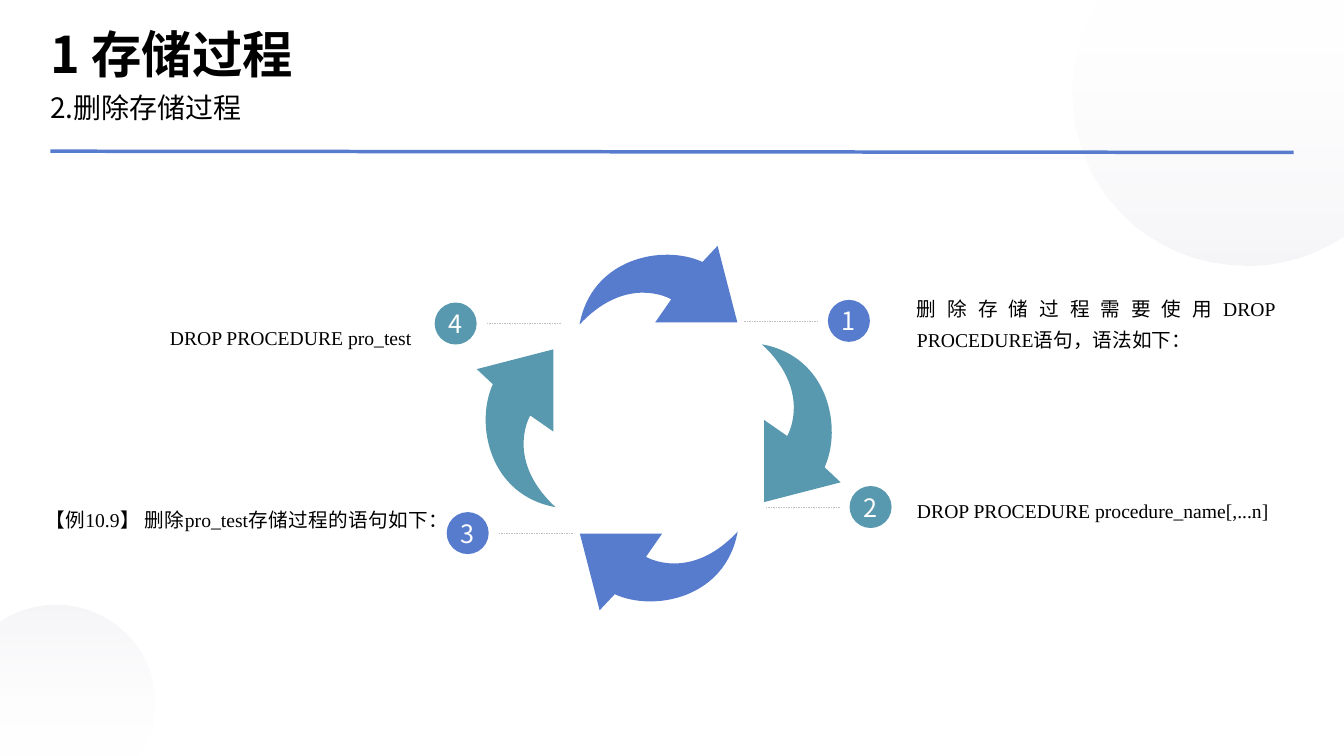
from lxml.etree import SubElement
from pptx import Presentation
from pptx.dml.color import RGBColor
from pptx.enum.dml import MSO_LINE
from pptx.enum.shapes import MSO_CONNECTOR, MSO_SHAPE
from pptx.enum.text import MSO_ANCHOR as ANCHOR, PP_ALIGN as ALIGN
from pptx.oxml.ns import qn
from pptx.util import Pt

SANS, SERIF = "Noto Sans CJK SC", "Times New Roman"
BLUE, TEAL, GREY, BLACK, WHITE = "577CCE", "5999AF", "BFBFBF", "000000", "FFFFFF"

TITLE = "1 存储过程"
SUBTITLE = "2.删除存储过程"

# text, text box (left, top, width), bottom inset, leader (start x, y),
# side (1 right, -1 left), arrow (left, top)
STEPS = [
    ("删除存储过程需要使用DROP PROCEDURE语句，语法如下：",
     (655, 174.2, 255.6), 0, (531.5, 229.2), 1, (414, 175.6)),
    ("DROP PROCEDURE procedure_name[,...n]",
     (655, 307.4, 255.6), 0, (547, 362.2), 1, (516, 274.2)),
    ("【例10.9】 删除pro_test存储过程的语句如下：",
     (32.4, 324.9, 273.6), 22, (409, 380.8), -1, (414.2, 379.7)),
    ("DROP PROCEDURE pro_test",
     (121.4, 183.9, 185), 0, (400.4, 231.1), -1, (312.3, 277.8)),
]
TEXT_H, LEADER, GAP, BADGE = 109.4, 52.7, 7.2, 30

# Outlines: a pair is a corner, a triple of pairs is a Bezier curve
ARROW = [(98.6, 0), (112.7, 54.7), (54, 54.7), (65.5, 38.2),
         ((57.6, 33.8), (29.5, 24.5), (0, 56.2)),
         ((8.6, 8.6), (59.8, -1.4), (87.8, 11.5)), (98.6, 0)]
DISC = [(20.2, 0), (193.9, 0), (193.9, 168.5), (184.3, 174.2),
        ((166.3, 183.6), (146.2, 189.4), (124.6, 189.4)),
        ((55.4, 189.4), (0, 134.6), (0, 66.2)),
        ((0, 45.4), (5, 25.2), (15.1, 7.9))]
# left, top, scale, rotation
DISCS = [(766.1, 0, 1, 0), (0, 431.6, 0.57, 180)]
DISC_STOPS = [("FFFFFF", 10), ("D8D8E4", 24)]


def rgb(color):
    return RGBColor.from_string(color)


def add_outline(outline, left, top, scale=1, rotation=0):
    """Draw an outline from its part ends, then bend the curved parts."""
    parts = [[(Pt(x * scale), Pt(y * scale)) for x, y in
              (part if len(part) == 3 else [part])] for part in outline]
    builder = s.shapes.build_freeform(*parts[0][-1])
    builder.add_line_segments([part[-1] for part in parts[1:]], close=True)
    sp = builder.convert_to_shape(Pt(left), Pt(top))
    for segment, part in zip(list(sp._element.iter(qn("a:lnTo"))), parts[1:]):
        if len(part) == 3:
            curve = SubElement(segment.getparent(), qn("a:cubicBezTo"))
            for x, y in part:
                SubElement(curve, qn("a:pt"), x=str(x), y=str(y))
            segment.getparent().replace(segment, curve)
    sp.rotation = rotation
    sp.shadow.inherit = False
    sp.line.fill.background()
    return sp


def add_line(x1, y1, x2, y2, color, width):
    line = s.shapes.add_connector(MSO_CONNECTOR.STRAIGHT, Pt(x1), Pt(y1), Pt(x2), Pt(y2))
    line.line.color.rgb = rgb(color)
    line.line.width = Pt(width)
    SubElement(line._element.spPr, qn("a:effectLst"))
    return line


def write(sp, text, size, font=SANS, color=BLACK, anchor=ANCHOR.MIDDLE,
          align=ALIGN.LEFT, spacing=None, bold=False, bottom=0):
    tf = sp.text_frame
    tf.word_wrap = True
    tf.vertical_anchor = anchor
    tf.margin_left = tf.margin_top = tf.margin_right = 0
    tf.margin_bottom = Pt(bottom)
    p = tf.paragraphs[0]
    p.text = text
    p.alignment = align
    p.line_spacing = spacing
    p.font.size = Pt(size)
    p.font.bold = bold
    p.font.color.rgb = rgb(color)
    p.font.name = font
    SubElement(p._p.pPr.find(qn("a:defRPr")), qn("a:ea"), typeface=SANS)


def add_text(left, top, width, height, text, size, **style):
    box = s.shapes.add_textbox(Pt(left), Pt(top), Pt(width), Pt(height))
    write(box, text, size, **style)


def add_disc(left, top, scale, rotation):
    sp = add_outline(DISC, left, top, scale, rotation)
    sp.fill.gradient()
    sp.fill.gradient_angle = 270
    for stop, (color, alpha) in zip(sp.fill.gradient_stops, DISC_STOPS):
        stop.color.rgb = rgb(color)
    for clr, (color, alpha) in zip(sp._element.iter(qn("a:srgbClr")), DISC_STOPS):
        SubElement(clr, qn("a:alpha"), val=str(alpha * 1000))


def add_step(index, text, box, bottom, leader, side, arrow):
    color = (BLUE, TEAL)[index % 2]
    sp = add_outline(ARROW, *arrow, rotation=90 * index)
    sp.fill.solid()
    sp.fill.fore_color.rgb = rgb(color)

    x, y = leader
    end = x + side * LEADER
    add_line(x, y, end, y, GREY, 0.25).line.dash_style = MSO_LINE.DASH

    center = end + side * (GAP + BADGE / 2)
    badge = s.shapes.add_shape(MSO_SHAPE.OVAL, Pt(center - BADGE / 2), Pt(y - BADGE / 2),
                               Pt(BADGE), Pt(BADGE))
    badge.shadow.inherit = False
    badge.fill.solid()
    badge.fill.fore_color.rgb = rgb(color)
    badge.line.fill.background()
    write(badge, str(index + 1), 18, color=WHITE, align=ALIGN.CENTER)

    add_text(*box, TEXT_H, text, 14, font=SERIF, align=ALIGN.JUSTIFY,
             spacing=1.3, bottom=bottom)


prs = Presentation()
prs.slide_width, prs.slide_height = Pt(960), Pt(540)
s = prs.slides.add_slide(prs.slide_layouts[6])

for disc in DISCS:
    add_disc(*disc)
add_line(36, 108, 924, 108.9, BLUE, 2.5)
add_text(36, 12, 888, 48, TITLE, 36, anchor=ANCHOR.BOTTOM, bold=True)
add_text(36, 60, 888, 36, SUBTITLE, 20, anchor=ANCHOR.TOP, spacing=1.2)
for index, step in enumerate(STEPS):
    add_step(index, *step)

prs.save("out.pptx")
